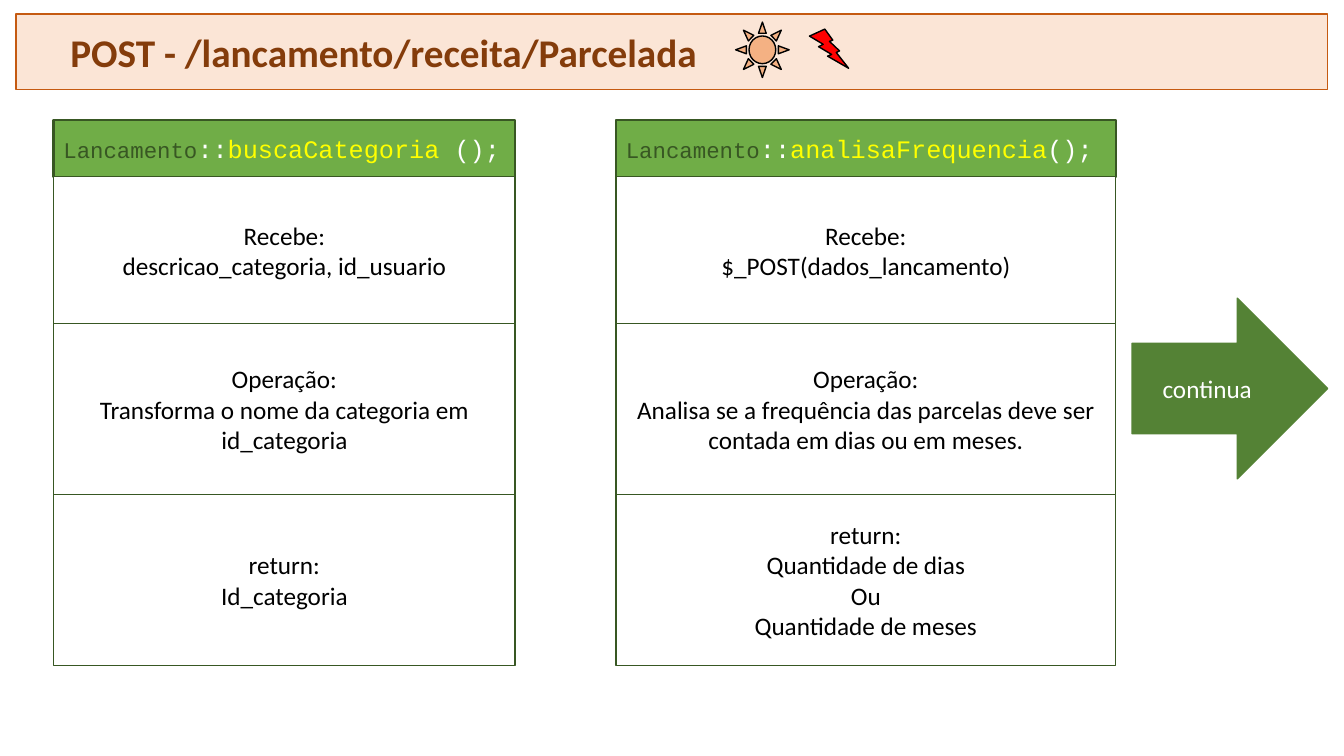
import pptx
import pptx.util
import pptx.dml.color
import pptx.enum.shapes
import pptx.enum.text
from dataclasses import dataclass

Pt = pptx.util.Pt
Shape = pptx.enum.shapes.MSO_SHAPE
Align = pptx.enum.text.PP_ALIGN


@dataclass(frozen=True)
class Theme:
    body_font: str = "Calibri"
    code_font: str = "Courier New"
    title_size: int = 28
    body_size: int = 18
    class_size: int = 16
    black: str = "000000"
    white: str = "FFFFFF"
    peach: str = "FBE5D6"
    orange: str = "C55A11"
    brown: str = "843C0B"
    sun: str = "F4B183"
    red: str = "FF0000"
    yellow: str = "FFFF00"
    green: str = "70AD47"
    arrow_green: str = "548235"
    dark_green: str = "385723"


THEME = Theme()


def color(value):
    return pptx.dml.color.RGBColor.from_string(value)


def add_box(slide, kind, box, fill, line, line_width=1):
    shape = slide.shapes.add_shape(kind, *(Pt(length) for length in box))
    shape.shadow.inherit = False
    shape.fill.solid()
    shape.fill.fore_color.rgb = color(fill)
    shape.line.color.rgb = color(line)
    shape.line.width = Pt(line_width)
    return shape


def write(shape, paragraphs, align=Align.CENTER):
    frame = shape.text_frame
    frame.word_wrap = True
    frame.vertical_anchor = pptx.enum.text.MSO_ANCHOR.MIDDLE
    for index, runs in enumerate(paragraphs):
        paragraph = frame.add_paragraph() if index else frame.paragraphs[0]
        paragraph.alignment = align
        for text, font, size, ink, bold in runs:
            run = paragraph.add_run()
            run.text = text
            run.font.name = font
            run.font.size = Pt(size)
            run.font.color.rgb = color(ink)
            run.font.bold = bold


def body_run(text, ink=THEME.black):
    return text, THEME.body_font, THEME.body_size, ink, False


def code_run(text, ink, size=THEME.body_size):
    return text, THEME.code_font, size, ink, False


def add_title_bar(slide, box, route):
    left, top, width, height = box
    bar = add_box(slide, Shape.RECTANGLE, box, THEME.peach, THEME.orange)
    bar.text_frame.margin_left = Pt(38.8)
    title = (route, THEME.body_font, THEME.title_size, THEME.brown, True)
    write(bar, [[title]], Align.LEFT)
    add_box(slide, Shape.SUN, (left + 514, top + 5.8, 38.2, 39.6), THEME.sun, THEME.black)
    add_box(slide, Shape.LIGHTNING_BOLT, (left + 566.7, top + 10.8, 28, 28), THEME.red, THEME.black)


def add_method_card(slide, box, method, ending, sections):
    left, top, width, height = box
    header_height = 40.5
    unit = (height - header_height) / 349
    header = add_box(slide, Shape.RECTANGLE, (left, top, width, header_height),
                     THEME.green, THEME.dark_green, 1.5)
    write(header, [[
        code_run("Lancamento", THEME.dark_green, THEME.class_size),
        code_run("::", THEME.white),
        code_run(method, THEME.yellow),
        code_run(ending, THEME.white),
    ]], Align.LEFT)
    section_top = top + header_height
    for lines, share in zip(sections, (105, 122, 122)):
        section = add_box(slide, Shape.RECTANGLE, (left, section_top, width, share * unit),
                          THEME.white, THEME.dark_green)
        write(section, [[body_run(line)] for line in lines])
        section_top += share * unit


def add_continue_arrow(slide, box, label):
    arrow = add_box(slide, Shape.RIGHT_ARROW, box, THEME.arrow_green, THEME.arrow_green)
    write(arrow, [[body_run(label, THEME.white)]])


def main():
    presentation = pptx.Presentation()
    presentation.slide_width = Pt(960)
    presentation.slide_height = Pt(540)
    slide = presentation.slides.add_slide(presentation.slide_layouts[6])

    add_title_bar(slide, (11.5, 10, 936.7, 54), "POST - /lancamento/receita/Parcelada")
    add_method_card(slide, (38.2, 85.7, 329.8, 389.5), "buscaCategoria ", "();", [
        ["Recebe:", "descricao_categoria, id_usuario"],
        ["Operação:", "Transforma o nome da categoria em id_categoria"],
        ["return:", "Id_categoria"],
    ])
    add_method_card(slide, (440, 85.7, 357, 389.5), "analisaFrequencia", "();", [
        ["Recebe:", "$_POST(dados_lancamento)"],
        ["Operação:", "Analisa se a frequência das parcelas deve ser contada em dias ou em meses."],
        ["return:", "Quantidade de dias", "Ou", "Quantidade de meses"],
    ])
    add_continue_arrow(slide, (808.6, 213, 139.7, 129), "continua")

    presentation.save("out.pptx")


if __name__ == "__main__":
    main()
